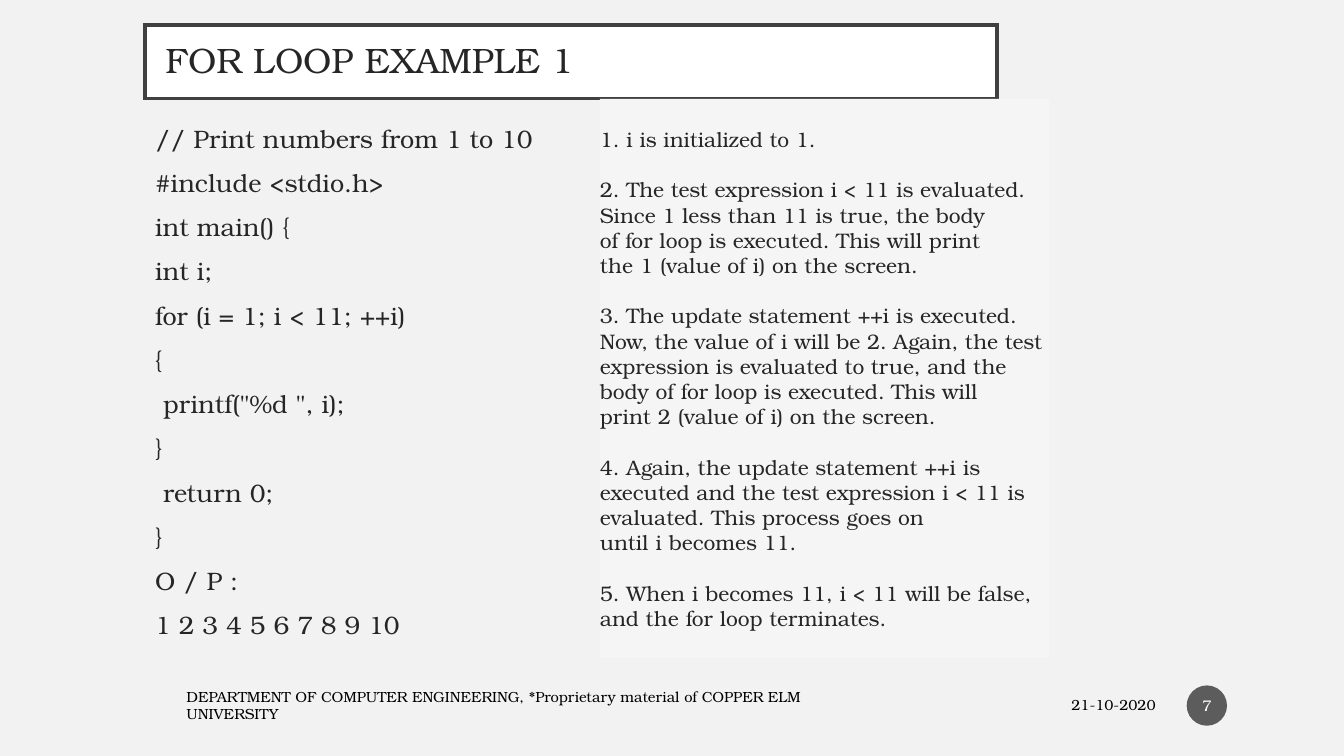
from lxml import etree
from pptx import Presentation
from pptx.dml.color import RGBColor
from pptx.enum.shapes import MSO_SHAPE
from pptx.enum.text import MSO_ANCHOR, MSO_AUTO_SIZE, PP_ALIGN
from pptx.oxml.ns import qn
from pptx.util import Pt

PX = 9144
FONT = "TeX Gyre Bonum"
INK = "262626"
RECT, OVAL = MSO_SHAPE.RECTANGLE, MSO_SHAPE.OVAL
TOP, MIDDLE = MSO_ANCHOR.TOP, MSO_ANCHOR.MIDDLE
LEFT, CENTER, RIGHT = PP_ALIGN.LEFT, PP_ALIGN.CENTER, PP_ALIGN.RIGHT
NO_AUTOFIT = MSO_AUTO_SIZE.NONE
NO_BREAK_SPACE = chr(160)

CODE = [
    "// Print numbers from 1 to 10",
    "#include <stdio.h>",
    "int main() {",
    "int i;",
    "for (i = 1; i < 11; ++i)",
    "{",
    ' printf("%d ", i);',
    "}",
    " return 0;",
    "}",
    "O / P :",
    "1 2 3 4 5 6 7 8 9 10",
]

STEPS = [
    " i~is initialized to 1.",
    " The test expression~i < 11~is evaluated. Since 1 less than 11 is true, "
    "the body of~for~loop is executed. This will print the~1~(value of~i) on the screen.",
    " The update statement~++i~is executed. Now, the value of~i~will be 2. "
    "Again, the test expression is evaluated to true, and the body of for loop "
    "is executed. This will print~2~(value of~i) on the screen.",
    " Again, the update statement~++i~is executed and the test expression~i < 11~is "
    "evaluated. This process goes on until~i~becomes 11.",
    " When~i~becomes 11,~i < 11~will be false, and the~for~loop terminates.",
]


def rgb(color):
    return RGBColor.from_string(color)


def box(left, top, width, height):
    return [n * PX for n in (left, top, width, height)]


def write(shape, lines, size, color=INK, align=LEFT, anchor=MIDDLE, gap=0, insets=(10, 5)):
    frame = shape.text_frame
    frame.word_wrap = True
    frame.auto_size = NO_AUTOFIT
    frame.vertical_anchor = anchor
    frame.margin_left = frame.margin_right = insets[0] * PX
    frame.margin_top = frame.margin_bottom = insets[1] * PX
    for i, line in enumerate(lines):
        paragraph = frame.add_paragraph() if i else frame.paragraphs[0]
        paragraph.text = line
        paragraph.alignment = align
        paragraph.space_before = Pt(gap if i else 0)
        paragraph.font.name = FONT
        paragraph.font.size = Pt(size)
        paragraph.font.color.rgb = rgb(color)
    return frame.paragraphs


def add_text(slide, place, lines, size, **style):
    write(slide.shapes.add_textbox(*box(*place)), lines, size, **style)


def add_panel(slide, kind, place, fill):
    panel = slide.shapes.add_shape(kind, *box(*place))
    panel.shadow.inherit = False
    panel.fill.solid()
    panel.fill.fore_color.rgb = rgb(fill)
    panel.line.fill.background()
    return panel


def set_alpha(shape, percent):
    color = shape.fill._xPr.find(qn("a:solidFill"))[0]
    etree.SubElement(color, qn("a:alpha")).set("val", str(percent * 1000))


def number(paragraph, hang):
    properties = paragraph._p.get_or_add_pPr()
    properties.set("marL", "0")
    properties.set("indent", str(-hang * PX))
    etree.SubElement(properties, qn("a:buFont")).set("typeface", FONT)
    etree.SubElement(properties, qn("a:buAutoNum")).set("type", "arabicPeriod")
    defaults = properties.find(qn("a:defRPr"))
    if defaults is not None:
        properties.append(defaults)


def set_title(slide, text):
    title = slide.shapes.title
    title.left, title.top, title.width, title.height = box(144, 25, 845, 73)
    title.fill.solid()
    title.fill.fore_color.rgb = rgb("FFFFFF")
    title.line.color.rgb = rgb("404040")
    title.line.width = Pt(2.5)
    outline = title.line._get_or_add_ln()
    etree.SubElement(outline, qn("a:miter")).set("lim", "800000")
    write(title, [text], 25.2, insets=(20, 20))[0].line_spacing = 0.9


def main():
    deck = Presentation()
    deck.slide_width, deck.slide_height = 1333 * PX, 750 * PX
    slide = deck.slides.add_slide(deck.slide_layouts[5])
    slide.background.fill.solid()
    slide.background.fill.fore_color.rgb = rgb("F2F2F2")

    set_title(slide, "FOR LOOP EXAMPLE 1")
    add_text(slide, (144, 117, 452, 538), CODE, 18, anchor=TOP, gap=10)
    footer = "DEPARTMENT OF COMPUTER ENGINEERING, *Proprietary material of COPPER ELM UNIVERSITY"
    add_text(slide, (175, 682, 645, 35), [footer], 10.5, color="000000")
    add_text(slide, (855, 682, 301, 35), ["21-10-2020"], 10.5, color="000000", align=RIGHT)

    page_badge = add_panel(slide, OVAL, (1177, 680, 40, 40), "1D1D1D")
    set_alpha(page_badge, 70)
    write(page_badge, ["7"], 11, color="FFFFFF", align=CENTER, insets=(2, 5))

    explanation = add_panel(slide, RECT, (595, 98, 446, 555), "F5F5F5")
    steps = [step.replace("~", NO_BREAK_SPACE) for step in STEPS]
    for paragraph in write(explanation, steps, 15, gap=18, insets=(0, 0)):
        number(paragraph, 10)

    deck.save("out.pptx")


if __name__ == "__main__":
    main()
